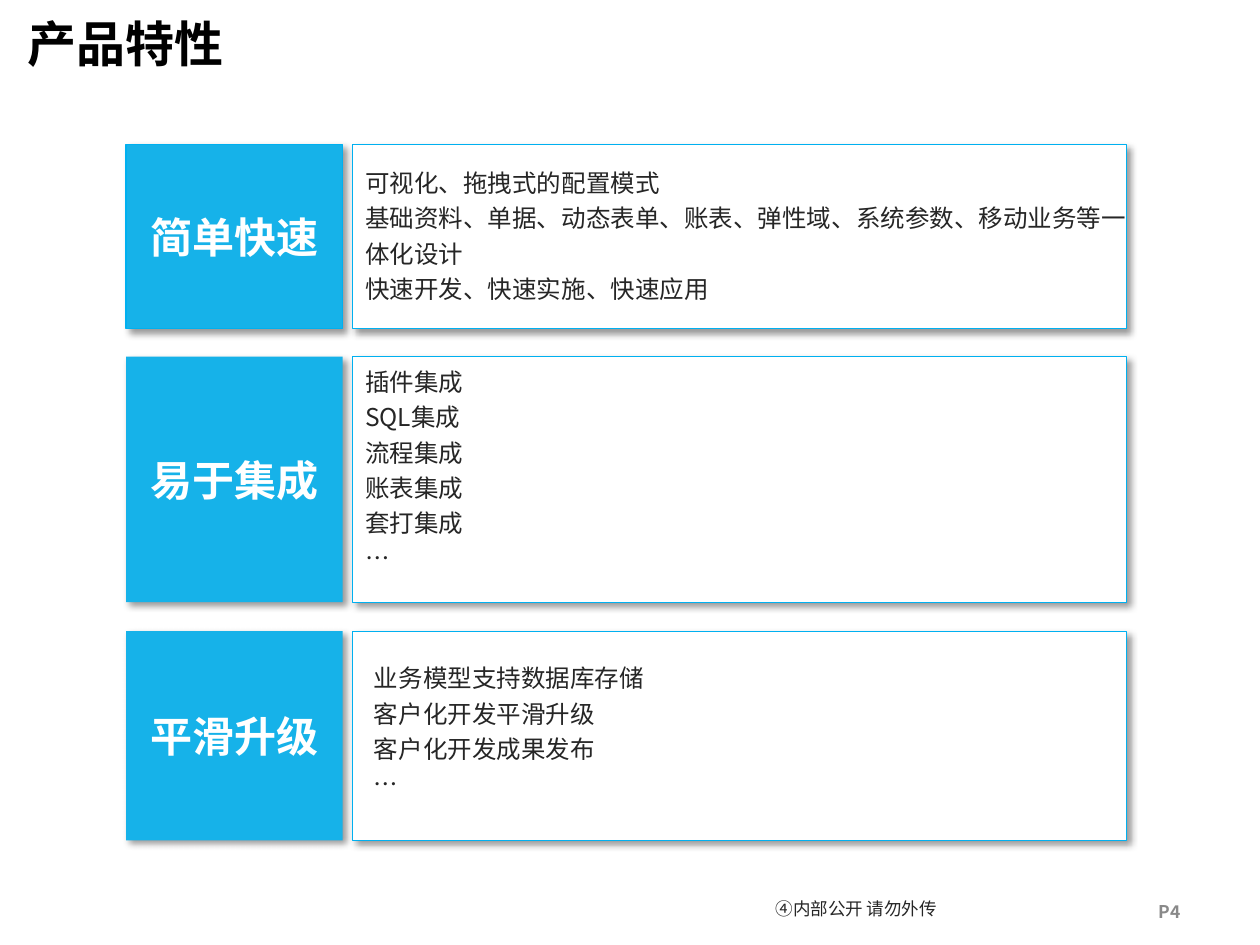
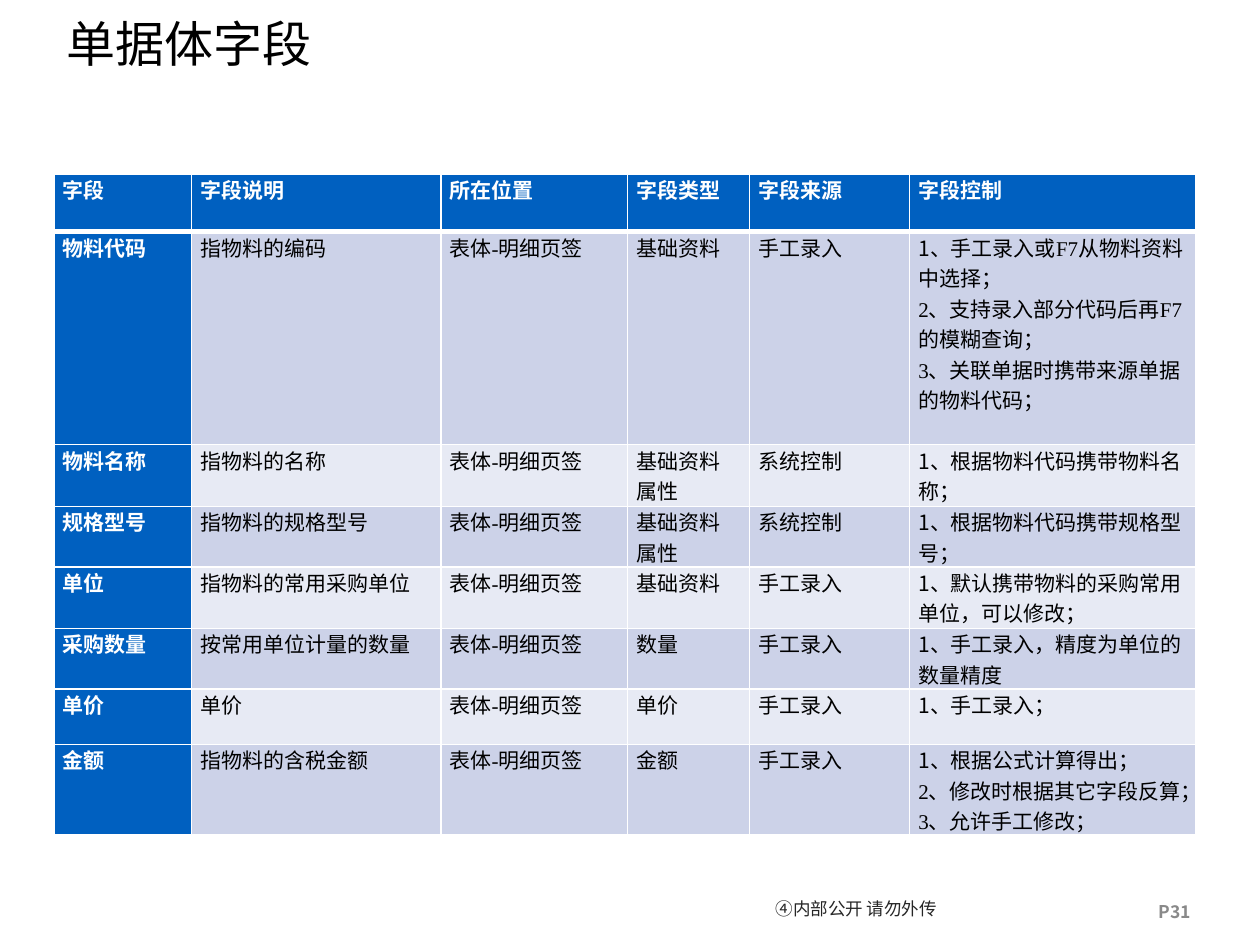
from dataclasses import dataclass

from lxml import etree
from pptx import Presentation
from pptx.dml.color import RGBColor
from pptx.enum.shapes import MSO_SHAPE
from pptx.enum.text import MSO_ANCHOR, PP_ALIGN
from pptx.oxml.ns import qn
from pptx.util import Inches, Pt

RECT = MSO_SHAPE.RECTANGLE
TOP, MIDDLE = MSO_ANCHOR.TOP, MSO_ANCHOR.MIDDLE
LEFT, CENTER = PP_ALIGN.LEFT, PP_ALIGN.CENTER

SANS, SERIF, ARIAL = "Noto Sans CJK SC", "Times New Roman", "Arial"
BLACK, WHITE, INK, GRAY = "000000", "FFFFFF", "262626", "898989"
SKY, EDGE, BLUE = "16B2E9", "00B0F0", "0060C0"
BANDS = ("CCD2E8", "E7EAF4")


@dataclass
class Band:
    label: str
    lines: list[str]
    top: float
    height: float
    text_left: float
    text_top: float
    edge: str | None = None


FEATURES = [
    Band("简单快速", ["可视化、拖拽式的配置模式",
                  "基础资料、单据、动态表单、账表、弹性域、系统参数、移动业务等一体化设计",
                  "快速开发、快速实施、快速应用"], 1.15, 1.46, 2.8, 1.24, EDGE),
    Band("易于集成", ["插件集成", "SQL集成", "流程集成", "账表集成", "套打集成", "…"],
         2.83, 1.95, 2.8, 2.82),
    Band("平滑升级", ["业务模型支持数据库存储", "客户化开发平滑升级", "客户化开发成果发布", "…"],
         5.01, 1.66, 2.87, 5.17),
]

PLACE = "表体-明细页签"
HEADS = ("字段", "字段说明", "所在位置", "字段类型", "字段来源", "字段控制")
FIELDS = [
    ("物料代码", "指物料的编码", PLACE, "基础资料", "手工录入",
     "1、手工录入或F7从物料资料中选择；\n2、支持录入部分代码后再F7的模糊查询；\n"
     "3、关联单据时携带来源单据的物料代码；"),
    ("物料名称", "指物料的名称", PLACE, "基础资料属性", "系统控制", "1、根据物料代码携带物料名称；"),
    ("规格型号", "指物料的规格型号", PLACE, "基础资料属性", "系统控制", "1、根据物料代码携带规格型号；"),
    ("单位", "指物料的常用采购单位", PLACE, "基础资料", "手工录入",
     "1、默认携带物料的采购常用单位，可以修改；"),
    ("采购数量", "按常用单位计量的数量", PLACE, "数量", "手工录入", "1、手工录入，精度为单位的数量精度"),
    ("单价", "单价", PLACE, "单价", "手工录入", "1、手工录入；"),
    ("金额", "指物料的含税金额", PLACE, "金额", "手工录入",
     "1、根据公式计算得出；\n2、修改时根据其它字段反算；\n3、允许手工修改；"),
]
WIDTHS = (1.09, 1.98, 1.48, 0.97, 1.27, 2.27)
HEIGHTS = (0.46, 1.69, 0.49, 0.48, 0.49, 0.48, 0.44, 0.72)


def rgb(color: str) -> RGBColor:
    return RGBColor.from_string(color)


def write(frame, lines, size=12, color=BLACK, bold=False, font=SANS,
          align=LEFT, anchor=None, space=None, inset=None, lead=0) -> None:
    """Fill a text frame; the first `lead` characters are set in SANS."""
    frame.word_wrap = True
    if anchor is not None:
        frame.vertical_anchor = anchor
    if inset:
        side, end = map(Inches, inset)
        frame.margin_left = frame.margin_right = side
        frame.margin_top = frame.margin_bottom = end

    def put(para, text: str, face: str) -> None:
        run = para.add_run()
        run.text = text
        run.font.size, run.font.bold, run.font.name = Pt(size), bold, face
        run.font.color.rgb = rgb(color)
        east = etree.SubElement(run.font._element, qn("a:ea"))
        east.set("typeface", SANS)

    for n, line in enumerate(lines):
        para = frame.add_paragraph() if n else frame.paragraphs[0]
        para.alignment = align
        if space:
            para.line_spacing = Pt(space)
        if lead and n == 0:
            put(para, line[:lead], SANS)
            line = line[lead:]
        put(para, line, font)


def label(slide, lines, left: float, top: float, width: float, height: float, **style) -> None:
    box = slide.shapes.add_textbox(*map(Inches, (left, top, width, height)))
    write(box.text_frame, lines, **style)


def shade(shape) -> None:
    """Give a shape a soft shadow to the lower right."""
    shape.shadow.inherit = False
    effects = shape._element.spPr.find(qn("a:effectLst"))
    outer = etree.SubElement(effects, qn("a:outerShdw"), blurRad=str(Pt(4)),
                             dist=str(Pt(3)), dir="2700000", algn="tl", rotWithShape="0")
    tint = etree.SubElement(outer, qn("a:srgbClr"), val=BLACK)
    etree.SubElement(tint, qn("a:alpha"), val="40000")


def panel(slide, left: float, top: float, width: float, height: float,
          fill: str, edge: str | None):
    shape = slide.shapes.add_shape(RECT, *map(Inches, (left, top, width, height)))
    shape.fill.solid()
    shape.fill.fore_color.rgb = rgb(fill)
    if edge:
        shape.line.color.rgb = rgb(edge)
        shape.line.width = Pt(0.75)
    else:
        shape.line.fill.background()
    shade(shape)
    return shape


def rule(cell, row: int) -> None:
    """Draw white cell borders, thick between the header and the body."""
    thick = {("B", 0), ("T", 1)}
    props = cell._tc.get_or_add_tcPr()
    for side in "LRTB":
        width = Pt(3 if (side, row) in thick else 1)
        line = etree.SubElement(props, qn(f"a:ln{side}"), w=str(width))
        fill = etree.SubElement(line, qn("a:solidFill"))
        etree.SubElement(fill, qn("a:srgbClr"), val=WHITE)


def start(deck, title: str, left: float, page: int, **style):
    """Add a slide with its title, notice and page number."""
    slide = deck.slides.add_slide(deck.slide_layouts[6])
    label(slide, ["④内部公开 请勿外传"], 5.91, 7.02, 1.77, 0.36, size=10, color=INK,
          align=CENTER, anchor=MIDDLE, space=14, inset=(0.08, 0.01))
    label(slide, [f"P{page}"], 9.1, 7.1, 0.9, 0.27, size=10, color=GRAY, bold=True)
    label(slide, [title], left, 0, 7.32, 0.68, size=28, anchor=MIDDLE, **style)
    return slide


def features(deck) -> None:
    slide = start(deck, "产品特性", 0.12, 4, font=ARIAL, bold=True)
    for band in FEATURES:
        tab = panel(slide, 1, band.top, 1.72, band.height, SKY, band.edge)
        write(tab.text_frame, [band.label], size=24, color=WHITE, bold=True,
              align=CENTER, anchor=MIDDLE, inset=(0, 0.05))
        panel(slide, 2.8, band.top, 6.14, band.height, WHITE, EDGE)
        label(slide, band.lines, band.text_left, band.text_top, 6.3,
              0.1 + 0.28 * len(band.lines), size=14, color=INK, space=20.1)


def fields(deck) -> None:
    slide = start(deck, "单据体字段", 0.43, 31)
    rows = [HEADS, *FIELDS]
    frame = slide.shapes.add_table(len(rows), len(HEADS), Inches(0.43), Inches(1.38),
                                   Inches(sum(WIDTHS)), Inches(sum(HEIGHTS)))
    table = frame.table
    for col, width in zip(table.columns, WIDTHS):
        col.width = Inches(width)
    for r, texts in enumerate(rows):
        table.rows[r].height = Inches(HEIGHTS[r])
        for c, text in enumerate(texts):
            cell = table.cell(r, c)
            head = r == 0 or c == 0
            rule(cell, r)
            cell.fill.solid()
            cell.fill.fore_color.rgb = rgb(BLUE if head else BANDS[(r - 1) % 2])
            cell.margin_left = cell.margin_right = Inches(0.07)
            cell.margin_top = cell.margin_bottom = 0
            cell.vertical_anchor = TOP
            write(cell.text_frame, text.split("\n"), color=WHITE if head else BLACK, bold=head,
                  font=SERIF if r else SANS, lead=int(r > 0 and c == len(HEADS) - 1))


def main() -> None:
    deck = Presentation()
    deck.slide_width, deck.slide_height = Inches(10), Inches(7.5)
    features(deck)
    fields(deck)
    deck.save("out.pptx")


if __name__ == "__main__":
    main()
